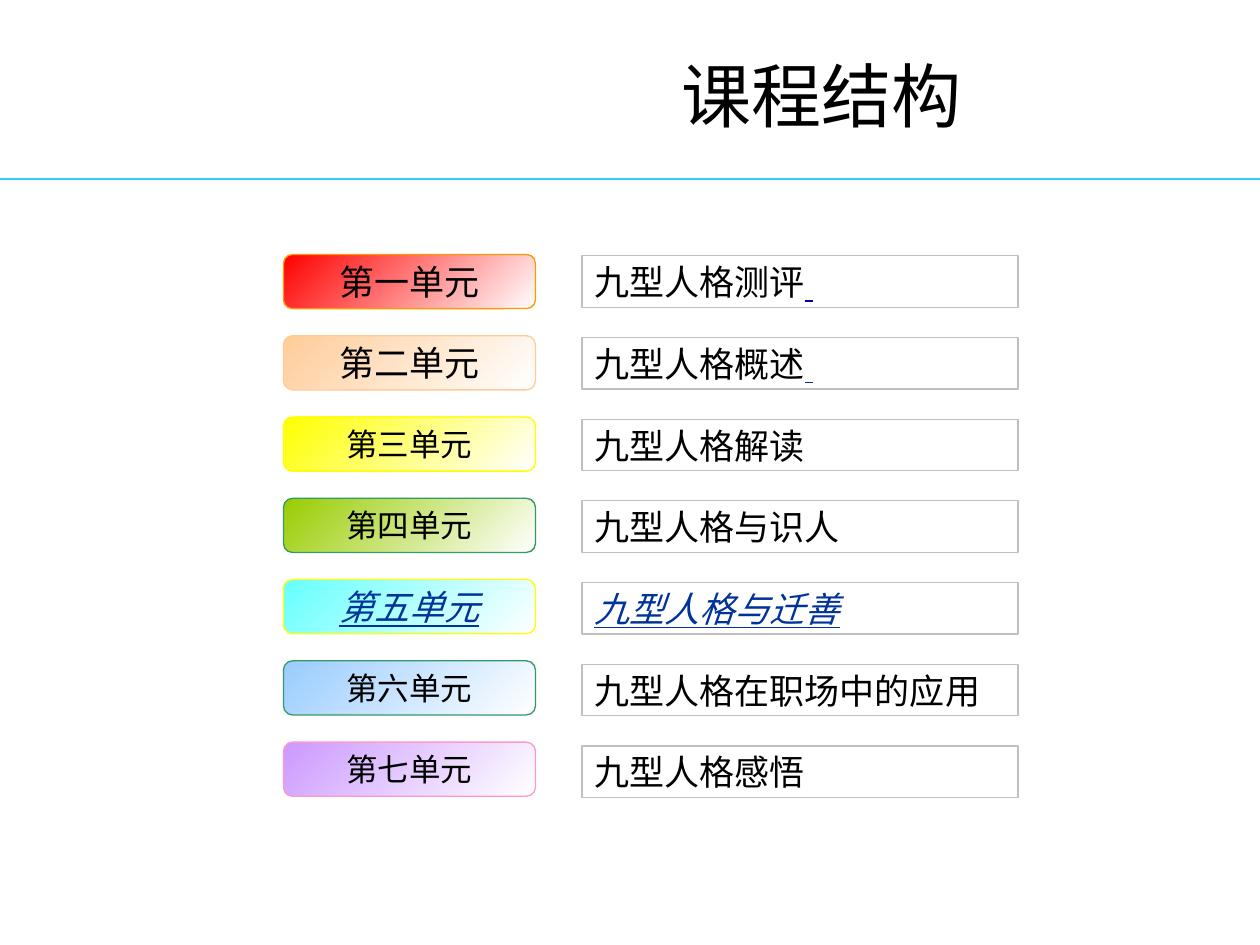
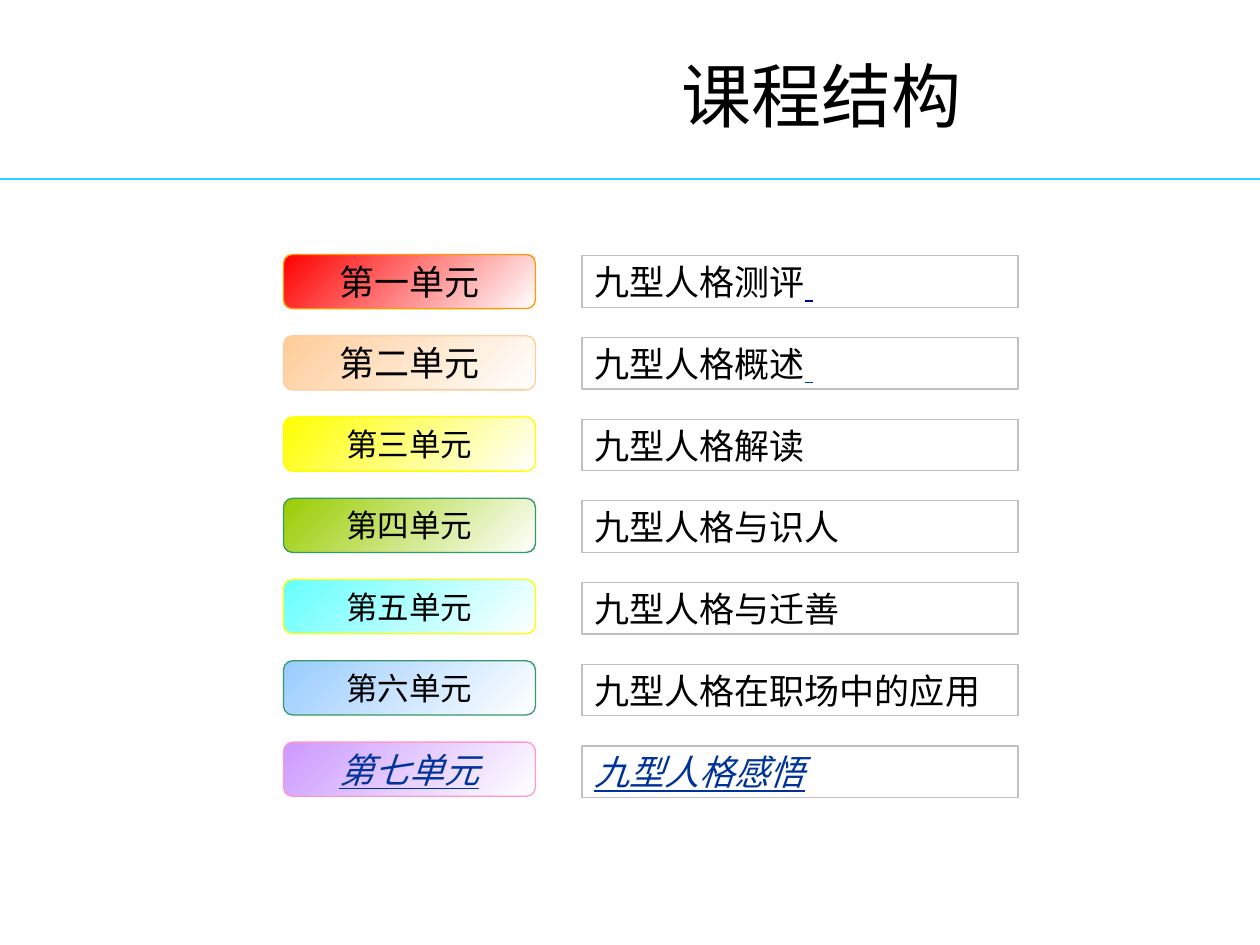
"""Build the two course-structure slides, each highlighting one unit."""
from lxml.etree import SubElement
from pptx import Presentation
from pptx.dml.color import RGBColor
from pptx.enum.shapes import MSO_CONNECTOR as Connector, MSO_SHAPE as Shape
from pptx.enum.text import MSO_ANCHOR as Anchor, MSO_AUTO_SIZE as AutoSize, PP_ALIGN as Align
from pptx.oxml.ns import qn
from pptx.util import Inches, Pt

TITLE = "课程结构"
UNITS = [
    ("第一单元", "九型人格测评", "FF0000", "FF9900"),
    ("第二单元", "九型人格概述", "FFCC99", "FFCC99"),
    ("第三单元", "九型人格解读", "FFFF00", "FFFF00"),
    ("第四单元", "九型人格与识人", "99CC00", "339966"),
    ("第五单元", "九型人格与迁善", "66FFFF", "FFFF00"),
    ("第六单元", "九型人格在职场中的应用", "99CCFF", "339966"),
    ("第七单元", "九型人格感悟", "CC99FF", "FF99CC"),
]
LARGE_LABELS = ("第一单元", "第二单元")
UNDERLINED_TAILS = {"九型人格测评": "tail", "九型人格概述": "active"}
ACTIVE_UNITS = ("第五单元", "第七单元")

COLORS = {"text": "000000", "active": "003399", "tail": "000099",
          "rule": "33CCFF", "frame": "C0C0C0", "fade": "FFFFFF"}
TITLE_FONT, BODY_FONT = "Arial", "Noto Sans CJK SC"
SLIDE_SIZE = (10, 7.5)
RULE_TOP = 1.42
TITLE_BOX = (2.89, 0.28, 7.11, 0.8)
LABELS = {"left": 2.25, "first": 2.02, "last": 5.89, "width": 2, "height": 0.43}
TOPICS = {"left": 4.62, "first": 2.03, "last": 5.92, "width": 3.46, "height": 0.41}


def rgb(name):
    return RGBColor.from_string(COLORS.get(name, name))


def cell(column, row):
    pitch = (column["last"] - column["first"]) / (len(UNITS) - 1)
    top = column["first"] + row * pitch
    return [Inches(n) for n in (column["left"], top, column["width"], column["height"])]


def style_font(font, color, active=False):
    font.color.rgb = rgb(color)
    font.italic = font.underline = active


def add_box(slide, kind, column, row, border, text, size, align, active):
    box = slide.shapes.add_shape(kind, *cell(column, row))
    box.shadow.inherit = False
    box.line.color.rgb = rgb(border)
    box.line.width = Pt(0.75)
    frame = box.text_frame
    frame.word_wrap = True
    frame.vertical_anchor = Anchor.MIDDLE
    paragraph = frame.paragraphs[0]
    paragraph.alignment = align
    paragraph.add_run().text = text
    paragraph.font.size = Pt(size)
    paragraph.font.name = BODY_FONT
    style_font(paragraph.font, "active" if active else "text", active)
    defaults = paragraph._p.get_or_add_pPr().find(qn("a:defRPr"))
    SubElement(defaults, qn("a:ea"), typeface=BODY_FONT)
    return box


def add_unit(slide, row, unit, active):
    label, topic, tint, border = unit
    size = 20 if active or label in LARGE_LABELS else 18
    badge = add_box(slide, Shape.ROUNDED_RECTANGLE, LABELS, row, border,
                    label, size, Align.CENTER, active)
    badge.fill.gradient()
    badge.fill.gradient_angle = 315
    for stop, color in zip(badge.fill.gradient_stops, (tint, "fade")):
        stop.color.rgb = rgb(color)

    panel = add_box(slide, Shape.RECTANGLE, TOPICS, row, "frame",
                    topic, 20, Align.LEFT, active)
    panel.fill.background()
    if topic in UNDERLINED_TAILS:
        tail = panel.text_frame.paragraphs[0].add_run()
        tail.text = " "
        style_font(tail.font, UNDERLINED_TAILS[topic], True)


def add_heading(slide):
    title = slide.shapes.title
    title.left, title.top, title.width, title.height = map(Inches, TITLE_BOX)
    frame = title.text_frame
    frame.text = TITLE
    frame.auto_size = AutoSize.NONE
    frame.vertical_anchor = Anchor.MIDDLE
    frame.margin_left = Inches(0.25)
    heading = frame.paragraphs[0]
    heading.alignment = Align.CENTER
    heading.line_spacing = 1.2
    heading.font.size = Pt(40)
    heading.font.name = TITLE_FONT
    style_font(heading.font, "text")

    top = Inches(RULE_TOP)
    rule = slide.shapes.add_connector(Connector.STRAIGHT, 0, top, Inches(SLIDE_SIZE[0]), top)
    rule.line.color.rgb = rgb("rule")
    rule.line.width = Pt(1.5)
    SubElement(rule._element.spPr, qn("a:effectLst"))


def main():
    deck = Presentation()
    deck.slide_width, deck.slide_height = map(Inches, SLIDE_SIZE)
    for active_unit in ACTIVE_UNITS:
        slide = deck.slides.add_slide(deck.slide_layouts[5])
        add_heading(slide)
        for row, unit in enumerate(UNITS):
            add_unit(slide, row, unit, unit[0] == active_unit)
    deck.save("out.pptx")


if __name__ == "__main__":
    main()
